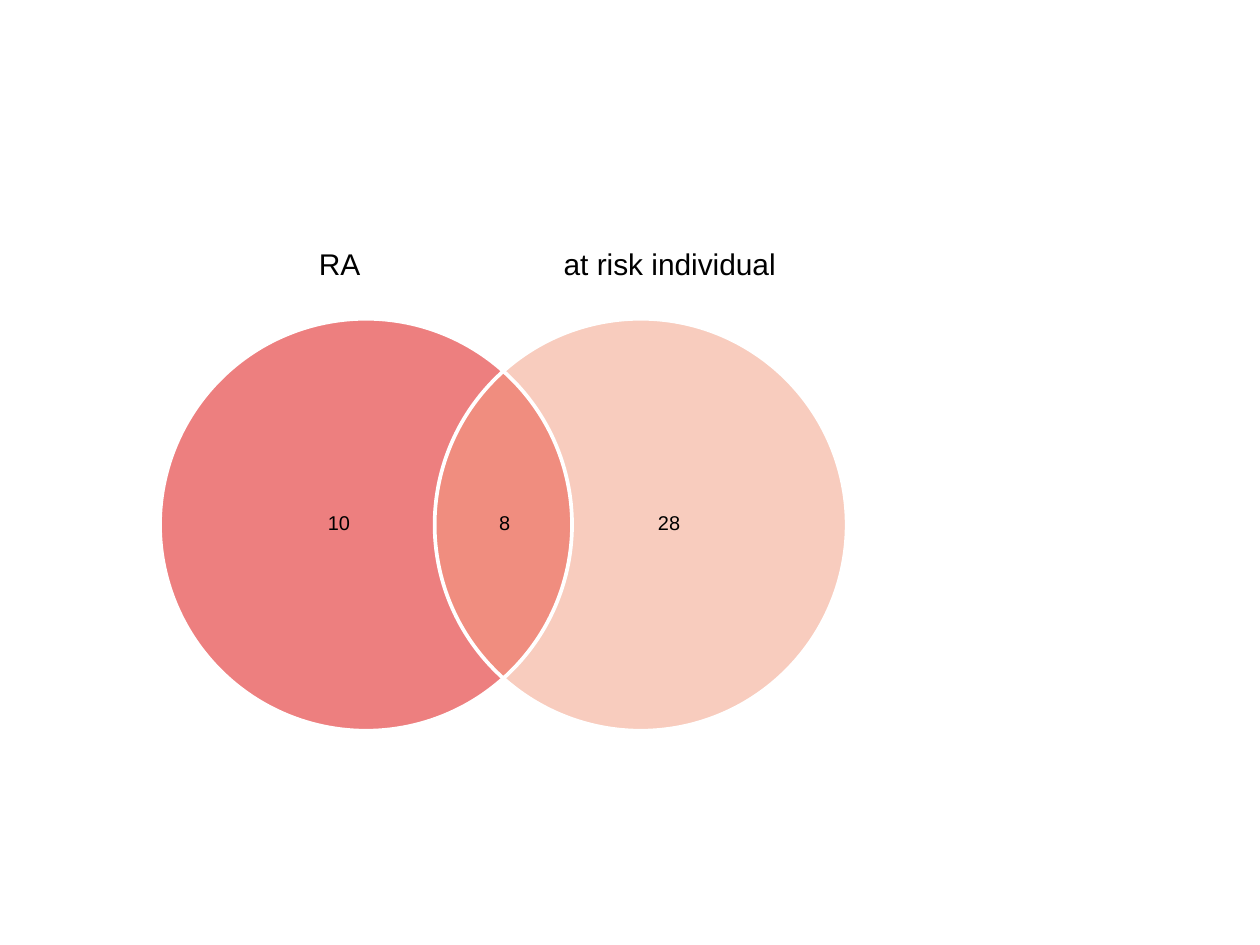
from dataclasses import dataclass

import lxml.etree
import pptx
import pptx.dml.color
import pptx.enum.shapes
import pptx.enum.text
import pptx.oxml.ns
import pptx.shapes.autoshape
import pptx.shapes.shapetree
import pptx.util

Inches = pptx.util.Inches
Pt = pptx.util.Pt
Shapes = pptx.shapes.shapetree.GroupShapes
Shape = pptx.shapes.autoshape.Shape
Kind = pptx.enum.shapes.MSO_SHAPE

COLORS = {"white": "FFFFFF", "text": "000000", "red": "DC0000", "salmon": "F39B7F"}
FONT = "Arial"
DIAMETER = 3.27
CIRCLE_TOP = 2.53
OPACITY = 50
TITLE_SIZE, COUNT_SIZE = 17.1, 11.4
TITLE_TOP, TITLE_HEIGHT = 2.03, 0.17
COUNT_TOP, COUNT_HEIGHT = 4.1, 0.12


@dataclass
class VennSet:
    left: float
    color: str


@dataclass
class Label:
    text: str
    left: float
    top: float
    width: float
    height: float
    size: float


SETS = [VennSet(1.27, "red"), VennSet(3.45, "salmon")]
LABELS = [
    Label("RA", 2.53, TITLE_TOP, 0.33, TITLE_HEIGHT, TITLE_SIZE),
    Label("at risk individual", 4.47, TITLE_TOP, 1.69, TITLE_HEIGHT, TITLE_SIZE),
    Label("10", 2.6, COUNT_TOP, 0.18, COUNT_HEIGHT, COUNT_SIZE),
    Label("28", 5.22, COUNT_TOP, 0.18, COUNT_HEIGHT, COUNT_SIZE),
    Label("8", 3.96, COUNT_TOP, 0.09, COUNT_HEIGHT, COUNT_SIZE),
]


def rgb(name: str) -> pptx.dml.color.RGBColor:
    return pptx.dml.color.RGBColor.from_string(COLORS[name])


def fill_shape(shape: Shape, color: str) -> None:
    shape.fill.solid()
    shape.fill.fore_color.rgb = rgb(color)


def outline_shape(shape: Shape, width: float) -> None:
    shape.line.color.rgb = rgb("white")
    shape.line.width = Pt(width)


def add_panel(shapes: Shapes) -> None:
    panel = shapes.add_shape(Kind.RECTANGLE, Inches(1), Inches(1), Inches(6), Inches(6))
    panel.shadow.inherit = False
    fill_shape(panel, "white")
    outline_shape(panel, 0.75)


def add_circle(shapes: Shapes, venn_set: VennSet) -> Shape:
    circle = shapes.add_shape(Kind.OVAL, Inches(venn_set.left), Inches(CIRCLE_TOP),
                              Inches(DIAMETER), Inches(DIAMETER))
    circle.shadow.inherit = False
    return circle


def add_disc(shapes: Shapes, venn_set: VennSet) -> None:
    disc = add_circle(shapes, venn_set)
    fill_shape(disc, venn_set.color)
    disc.line.fill.background()
    # Transparency of the fill
    color = disc.fill._xPr.find(".//" + pptx.oxml.ns.qn("a:srgbClr"))
    alpha = lxml.etree.SubElement(color, pptx.oxml.ns.qn("a:alpha"))
    alpha.set("val", str(OPACITY * 1000))


def add_ring(shapes: Shapes, venn_set: VennSet) -> None:
    ring = add_circle(shapes, venn_set)
    ring.fill.background()
    outline_shape(ring, 2.13)


def add_label(shapes: Shapes, label: Label) -> None:
    box = shapes.add_textbox(Inches(label.left), Inches(label.top),
                             Inches(label.width), Inches(label.height))
    frame = box.text_frame
    frame.word_wrap = False
    frame.vertical_anchor = pptx.enum.text.MSO_ANCHOR.MIDDLE
    frame.margin_left = frame.margin_right = frame.margin_top = frame.margin_bottom = 0
    paragraph = frame.paragraphs[0]
    paragraph.text = label.text
    paragraph.alignment = pptx.enum.text.PP_ALIGN.CENTER
    paragraph.line_spacing = Pt(label.size)
    paragraph.font.name = FONT
    paragraph.font.size = Pt(label.size)
    paragraph.font.color.rgb = rgb("text")


def main() -> None:
    deck = pptx.Presentation()
    deck.slide_width, deck.slide_height = Inches(10), Inches(7.5)
    slide = deck.slides.add_slide(deck.slide_layouts[6])
    diagram = slide.shapes.add_group_shape().shapes

    # Background panel
    add_panel(diagram)

    # Discs first, then the rings on top of both
    for draw in (add_disc, add_ring):
        for venn_set in SETS:
            draw(diagram, venn_set)

    # Set names and counts
    for label in LABELS:
        add_label(diagram, label)

    deck.save("out.pptx")


if __name__ == "__main__":
    main()
